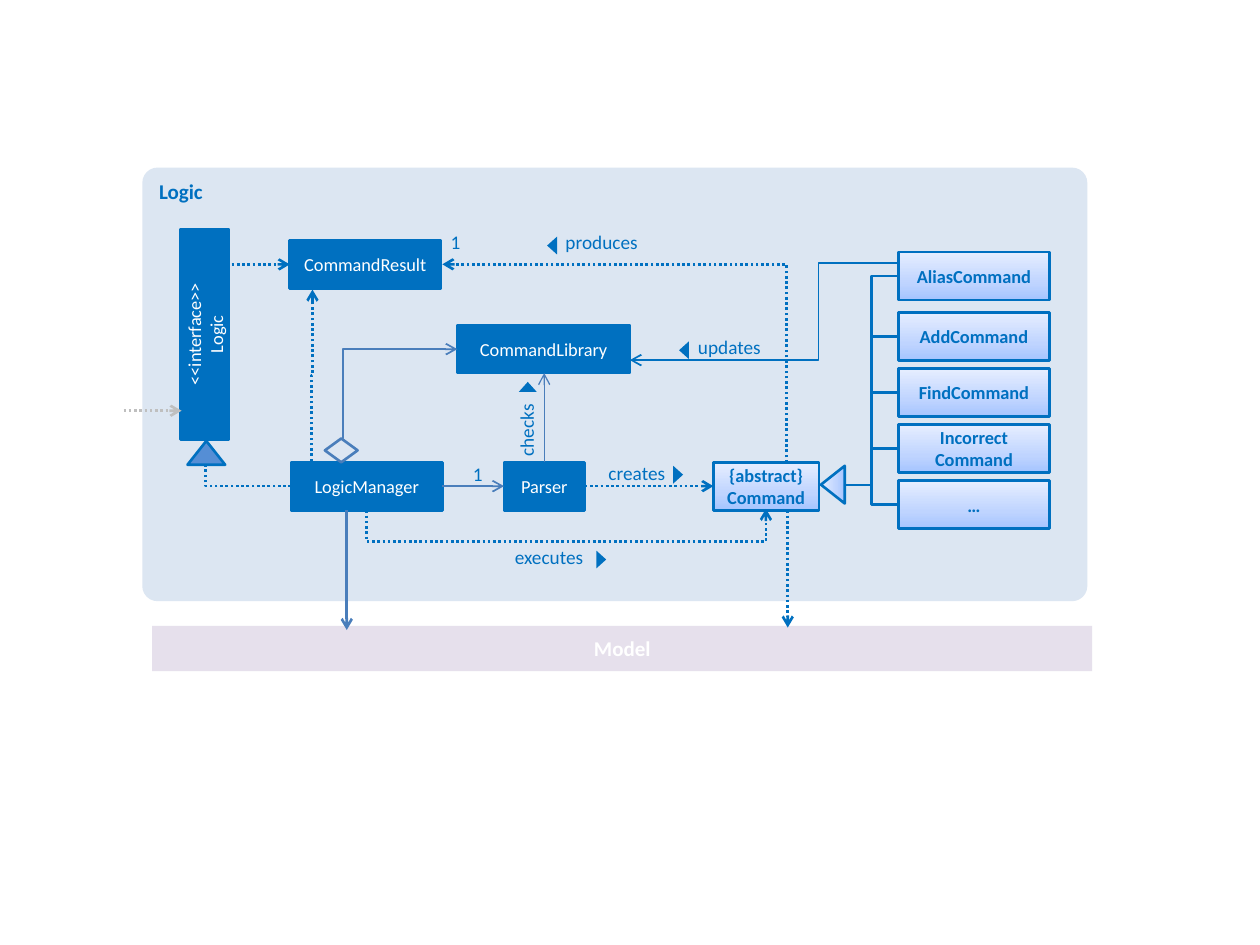
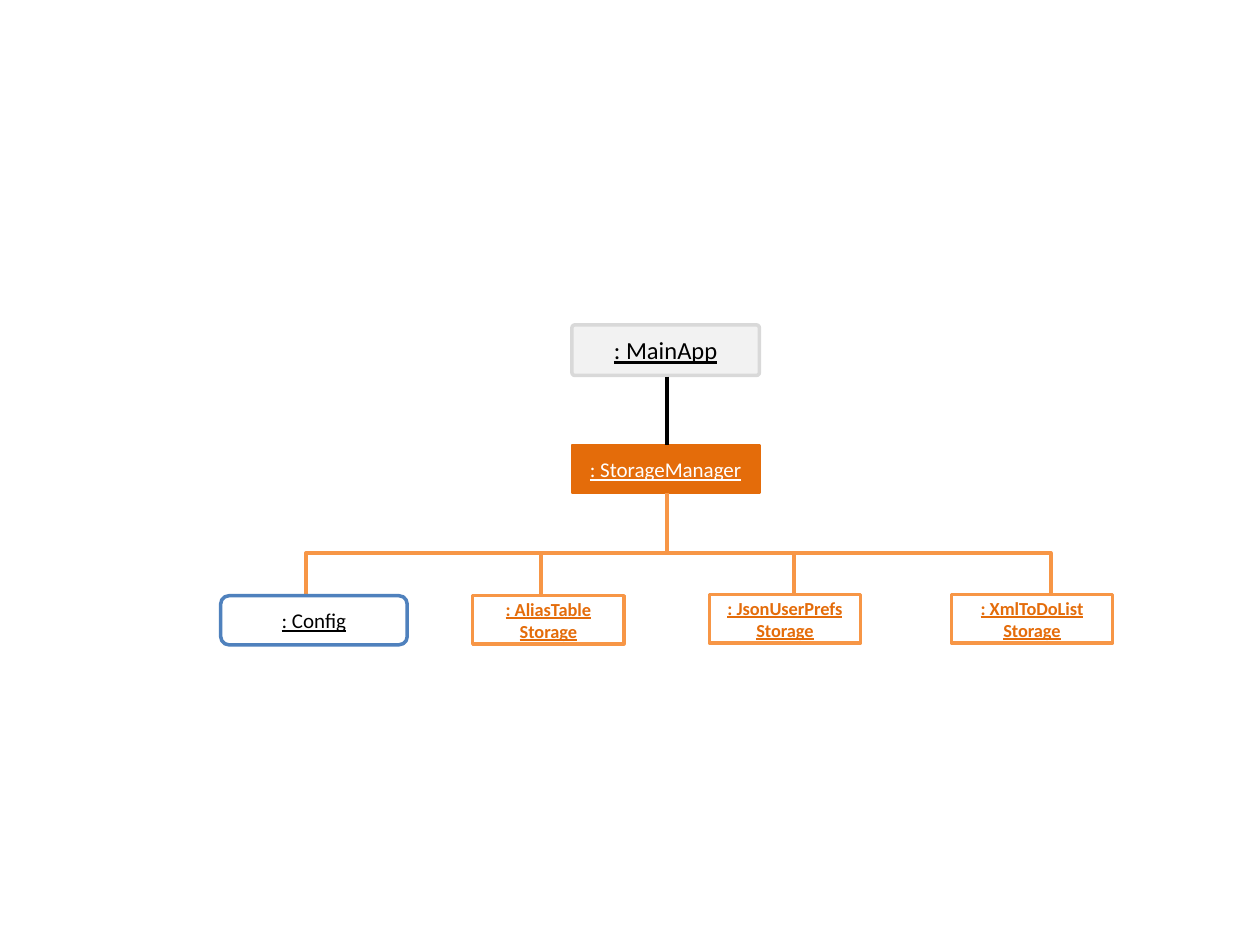
"""Build a logic class diagram and a storage object diagram."""
from copy import deepcopy

from pptx import Presentation
from pptx.dml.color import RGBColor
from pptx.enum.dml import MSO_LINE
from pptx.enum.shapes import MSO_CONNECTOR, MSO_SHAPE
from pptx.enum.text import MSO_ANCHOR, PP_ALIGN
from pptx.oxml.ns import qn
from pptx.util import Cm, Pt
from lxml import etree

RECT, ROUND = MSO_SHAPE.RECTANGLE, MSO_SHAPE.ROUNDED_RECTANGLE
PEAK, GEM = MSO_SHAPE.ISOSCELES_TRIANGLE, MSO_SHAPE.FLOWCHART_DECISION
LINE, ELBOW = MSO_CONNECTOR.STRAIGHT, MSO_CONNECTOR.ELBOW
LEFT, MID, RIGHT = PP_ALIGN.LEFT, PP_ALIGN.CENTER, PP_ALIGN.RIGHT
TOP, CENTER = MSO_ANCHOR.TOP, MSO_ANCHOR.MIDDLE
DOT = MSO_LINE.ROUND_DOT


class Theme:
    """Colours, font and type sizes of both slides."""
    font = "Calibri"
    small, label, head, large = 10.5, 11, 12, 14
    blue, steel, sky = "0070C0", "4A7EBB", "558ED5"
    panel, model, gray = "DCE6F2", "E6E0EC", "BFBFBF"
    fade = ((0, "A4C4FF"), (0.35, "BFD4FF"), (1, "E6EEFF"))
    white, black, pale, edge = "FFFFFF", "000000", "F2F2F2", "D9D9D9"
    rust, amber, frame = "E46C0A", "F79646", "4F81BD"


HIGH = 0.97
SOLID = dict(fill=Theme.blue, line=Theme.blue, color=Theme.white)
FADED = dict(fill=Theme.fade, line=Theme.blue, color=Theme.blue, bold=True)
DOTS = dict(dash=DOT, arrow=True)
THIN = dict(color=Theme.steel, width=1, arrow=True)

PANELS = [
    ("Logic", (2.87, 3.38, 19.05, 8.74), dict(
        fill=Theme.panel, round=0.035, color=Theme.blue, align=LEFT, anchor=TOP)),
    ("Model", (3.07, 12.62, 18.95, 0.91), dict(fill=Theme.model, color=Theme.white)),
]
CLASSES = [
    ("CommandResult", (5.84, 4.85, 3.05, HIGH), SOLID),
    ("LogicManager", (5.87, 9.32, 3.05, HIGH), SOLID),
    ("Parser", (10.16, 9.32, 1.63, HIGH), SOLID),
    ("CommandLibrary", (9.22, 6.55, 3.48, HIGH), SOLID),
    ("<<interface>>\nLogic", (2.01, 6.25, 4.24, HIGH), dict(SOLID, turn=270)),
    ("{abstract}\vCommand", (14.38, 9.32, 2.13, HIGH), FADED),
]
KINDS = ["AddCommand", "FindCommand", "Incorrect\vCommand", "…"]
KIND_X, KIND_Y, KIND_W, STEP = 18.11, 6.3, 3.05, 1.13
ALIAS = ("AliasCommand", 5.08)
HUB = (17.02, 9.78)
SIGNS = [
    (PEAK, (16.41, 9.53, 0.76, 0.48), dict(fill=Theme.fade, line=Theme.blue, turn=270)),
    (PEAK, (3.78, 8.89, 0.76, 0.48), dict(fill=Theme.sky, line=Theme.blue)),
    (GEM, (6.55, 8.84, 0.66, 0.48), dict(line=Theme.steel)),
]
TIPS = [(11.94, 11.18, 90), (10.95, 4.85, 270), (13.49, 9.47, 90),
        (13.61, 6.96, 270), (10.46, 7.7, 0)]
LABELS = [
    ("executes", 9.73, 11, 2.03, RIGHT, 0),
    ("produces", 11.4, 4.65, 2.03, LEFT, 0),
    ("1", 8.92, 4.65, 0.36, RIGHT, 0),
    ("1", 9.37, 9.32, 0.36, RIGHT, 0),
    ("creates", 11.86, 9.3, 1.55, RIGHT, 0),
    ("updates", 14.07, 6.76, 2.03, LEFT, 0),
    ("checks", 9.68, 8.84, 2.03, RIGHT, 270),
]
LINKS = [
    ((15.88, 9.3), (8.92, 5.33), dict(DOTS, bend=0.004)),
    ((4.67, 5.33), (5.84, 5.33), DOTS),
    ((15.88, 10.29), (15.88, 12.65), DOTS),
    ((5.87, 9.8), (4.14, 9.37), dict(dash=DOT, corner=True)),
    ((11.79, 9.8), (14.38, 9.8), DOTS),
    ((6.99, 10.29), (6.99, 12.7), dict(color=Theme.steel, arrow=True)),
    ((2.49, 8.28), (3.66, 8.28), dict(DOTS, color=Theme.gray)),
    ((7.39, 10.29), (15.44, 10.26), dict(DOTS, bend=-21, upright=True)),
    ((6.28, 9.3), (6.3, 5.84), dict(DOTS, bend=0.5, upright=True)),
    ((6.86, 8.84), (9.22, 7.04), dict(THIN, bend=0.023)),
    ((10.97, 9.32), (10.97, 7.52), dict(THIN, width=0.75)),
    ((8.92, 9.8), (10.16, 9.8), THIN),
    ((18.08, 5.31), (12.7, 7.26), dict(width=1, arrow=True, bend=0.293)),
]

STORE = dict(fill=Theme.white, line=Theme.amber, width=2, color=Theme.rust,
             bold=True, under=True)
PARTS = [
    (": StorageManager", (11.53, 8.97, 3.78, HIGH), dict(
        fill=Theme.rust, line=Theme.rust, color=Theme.white, size=Theme.head, under=True)),
    (": MainApp", (11.53, 6.55, 3.78, 1.02), dict(
        fill=Theme.pale, line=Theme.edge, width=2, round=0.058,
        color=Theme.black, size=Theme.large, under=True)),
    (": Config", (4.45, 12.01, 3.76, 0.99), dict(
        fill=Theme.white, line=Theme.frame, width=2, round=0.167,
        color=Theme.black, size=Theme.head, under=True)),
    (": AliasTable Storage", (9.53, 12.01, 3.05, HIGH), STORE),
    (": JsonUserPrefs\vStorage", (14.3, 11.99, 3.05, HIGH), STORE),
    (": XmlToDoList\nStorage", (19.18, 11.99, 3.25, HIGH), STORE),
]
TRUNK, BUS, FOOT, REACH = 13.44, 11.15, 12.19, 4.78
DROPS = [6.17, 10.9, 16, 21.18]


def tint(hue):
    return RGBColor.from_string(hue)


def write(shape, text, size=Theme.small, color=Theme.blue, bold=False,
          under=False, align=MID, anchor=CENTER, inset=None):
    frame = shape.text_frame
    frame.word_wrap = True
    frame.vertical_anchor = anchor
    if inset is not None:
        frame.margin_left = frame.margin_right = Cm(inset)
        frame.margin_top = frame.margin_bottom = Cm(inset)
    for i, words in enumerate(text.split("\n")):
        para = frame.add_paragraph() if i else frame.paragraphs[0]
        para.text = words
        para.alignment = align
        for run in para.runs:
            font = run.font
            font.name, font.size = Theme.font, Pt(size)
            font.bold, font.underline = bold, under
            font.color.rgb = tint(color)


def paint(shape, fill):
    if fill is None:
        shape.fill.background()
    elif isinstance(fill, str):
        shape.fill.solid()
        shape.fill.fore_color.rgb = tint(fill)
    else:
        shape.fill.gradient()
        shape.fill.gradient_angle = 90
        stops = shape._element.xpath(".//a:gsLst")[0]
        stops.insert(1, deepcopy(stops[0]))
        for stop, (spot, hue) in zip(shape.fill.gradient_stops, fill):
            stop.position = spot
            stop.color.rgb = tint(hue)


def draw(slide, kind, place, fill=None, line=None, width=1.5, turn=0):
    shape = slide.shapes.add_shape(kind, *map(Cm, place))
    shape.shadow.inherit = False
    shape.rotation = turn
    paint(shape, fill)
    if line:
        shape.line.color.rgb = tint(line)
        shape.line.width = Pt(width)
    else:
        shape.line.fill.background()
    return shape


def box(slide, text, place, fill=None, line=None, width=1.5, turn=0, round=None, **style):
    shape = draw(slide, RECT if round is None else ROUND, place, fill, line, width, turn)
    if round is not None:
        shape.adjustments[0] = round
    write(shape, text, **style)


def link(slide, start, end, color=Theme.blue, width=1.5, dash=None,
         arrow=False, bend=None, corner=False, upright=False):
    (x1, y1), (x2, y2) = start, end
    if upright:
        mx, my, dx, dy = (x1 + x2) / 2, (y1 + y2) / 2, (x2 - x1) / 2, (y2 - y1) / 2
        x1, y1, x2, y2 = mx - dy, my + dx, mx + dy, my - dx
    kind = LINE if bend is None and not corner else ELBOW
    wire = slide.shapes.add_connector(kind, Cm(x1), Cm(y1), Cm(x2), Cm(y2))
    wire.line.color.rgb = tint(color)
    wire.line.width = Pt(width)
    if dash:
        wire.line.dash_style = dash
    props = wire._element.spPr
    shape = props.find(qn("a:prstGeom"))
    if upright:
        props.find(qn("a:xfrm")).set("rot", "5400000")
    if corner:
        shape.set("prst", "bentConnector2")
    if bend is not None:
        etree.SubElement(shape.find(qn("a:avLst")), qn("a:gd"),
                         name="adj1", fmla=f"val {int(bend * 100000)}")
    if arrow:
        etree.SubElement(props.find(qn("a:ln")), qn("a:tailEnd"), type="arrow")
    etree.SubElement(props, qn("a:effectLst"))


def logic(slide):
    for text, place, style in PANELS:
        box(slide, text, place, size=Theme.head, bold=True, **style)
    rows = [ALIAS] + [(name, KIND_Y + i * STEP) for i, name in enumerate(KINDS)]
    for name, y in rows:
        link(slide, HUB, (KIND_X, y + HIGH / 2), bend=0.5)
        box(slide, name, (KIND_X, y, KIND_W, HIGH), **FADED)
    for text, place, style in CLASSES:
        box(slide, text, place, **style)
    for start, end, style in LINKS:
        link(slide, start, end, **style)
    for kind, place, style in SIGNS:
        draw(slide, kind, place, **style)
    for x, y, turn in TIPS:
        draw(slide, PEAK, (x, y, 0.36, 0.2), fill=Theme.blue, turn=turn)
    for text, x, y, wide, align, turn in LABELS:
        note = slide.shapes.add_textbox(Cm(x), Cm(y), Cm(wide), Cm(0.64))
        note.rotation = turn
        write(note, text, size=Theme.label, align=align, anchor=TOP, inset=0)


def store(slide):
    for x in DROPS:
        start = TRUNK if x == DROPS[-1] else x + REACH
        link(slide, (start, BUS), (x, FOOT), color=Theme.amber, width=2.25, corner=True)
    for text, place, style in PARTS:
        box(slide, text, place, **style)
    link(slide, (TRUNK, 7.59), (TRUNK, 8.97), color=Theme.black, width=2.25)
    link(slide, (TRUNK, 9.93), (TRUNK, BUS), color=Theme.amber, width=2.25)


deck = Presentation()
deck.slide_width, deck.slide_height = Cm(25.4), Cm(19.05)
for build in (logic, store):
    build(deck.slides.add_slide(deck.slide_layouts[6]))
deck.save("out.pptx")
